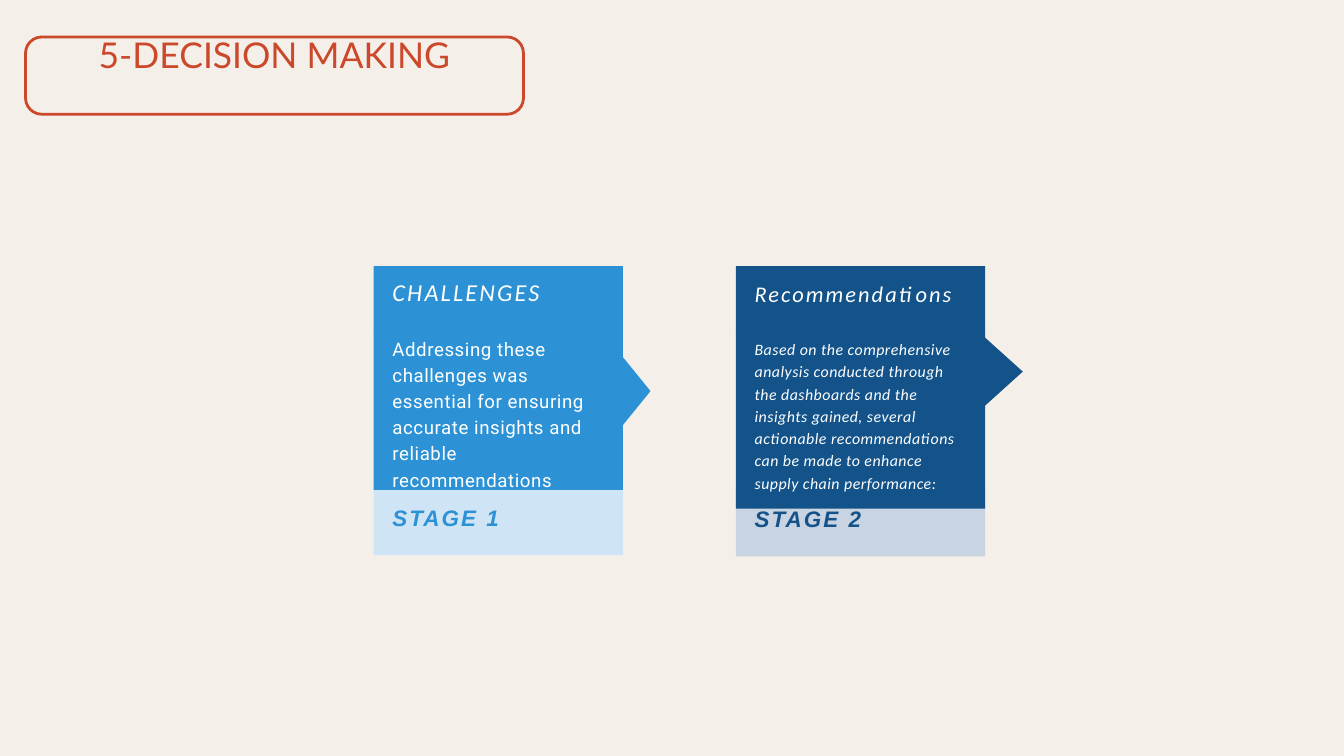
from pptx import Presentation
from pptx import util as u
from pptx.dml.color import RGBColor
from pptx.enum import shapes, text

THEME = {
    "background": "F4F0E9", "accent": "CC482B", "white": "FFFFFF",
    "blue": "2C92D5", "pale_blue": "CFE4F5",
    "navy": "13538A", "pale_navy": "C8D4E2",
    "title": {"name": "Lato", "size": u.Pt(38)},
    "stage": {"name": "Arial", "size": u.Pt(24), "bold": True, "italic": True},
}
LEADING = 1.4
CARD_WIDTH = 3.71
HEADER_TOP, HEADER_HEIGHT = 3.96, 0.94
BODY_TOP = 4.89
STAGE_HEIGHT, STAGE_TEXT_HEIGHT = 0.99, 1.19
ARROW_SPAN = 1.01
INSET = 0.28

TITLE = "5-DECISION MAKING"
CARDS = [
    {
        "left": 5.56, "fill": "blue", "pale": "pale_blue",
        "heading": "CHALLENGES", "heading_top": 3.72, "heading_spacing": 2.3,
        "heading_font": {"name": "Calibri", "size": u.Pt(26), "italic": True},
        "body": "Addressing these challenges was essential for ensuring accurate "
                "insights and reliable recommendations",
        "body_text_top": 4.69, "body_bottom": 7.29, "body_spacing": 0.6,
        "body_font": {"name": "Roboto", "size": u.Pt(20)},
        "stage": "STAGE 1", "stage_top": 7.27,
        "arrow_depth": 0.41, "arrow_middle": 5.82,
    },
    {
        "left": 10.95, "fill": "navy", "pale": "pale_navy",
        "heading": "Recommendations", "heading_top": 3.76, "heading_spacing": 2.2,
        "heading_font": {"name": "Calibri", "size": u.Pt(24), "italic": True},
        "body": "Based on the comprehensive analysis conducted through the dashboards "
                "and the insights gained, several actionable recommendations can be "
                "made to enhance supply chain performance:",
        "body_text_top": 4.73, "body_bottom": 7.57, "body_spacing": 0.5,
        "body_font": {"name": "Calibri", "size": u.Pt(17), "italic": True},
        "stage": "STAGE 2", "stage_top": 7.29,
        "arrow_depth": 0.56, "arrow_middle": 5.53,
    },
]


def color(name):
    return RGBColor.from_string(THEME[name])


def inches(*lengths):
    return [u.Inches(length) for length in lengths]


def add_block(slide, kind, box, fill):
    shape = slide.shapes.add_shape(kind, *inches(*box))
    shape.shadow.inherit = False
    shape.fill.solid()
    shape.fill.fore_color.rgb = color(fill)
    shape.line.fill.background()
    return shape


def write(shape, words, font, ink, inset, anchor, spacing=0, align=text.PP_ALIGN.LEFT):
    frame = shape.text_frame
    frame_format = {"word_wrap": True, "vertical_anchor": anchor,
                    "auto_size": text.MSO_AUTO_SIZE.NONE}
    for side in ("left", "top", "right", "bottom"):
        frame_format[f"margin_{side}"] = u.Inches(inset)
    for name, value in frame_format.items():
        setattr(frame, name, value)
    paragraph = frame.paragraphs[0]
    paragraph.alignment = align
    paragraph.line_spacing = u.Pt(round(font["size"].pt * LEADING, 1))
    run = paragraph.add_run()
    run.text = words
    for name, value in font.items():
        setattr(run.font, name, value)
    run.font.color.rgb = color(ink)
    if spacing:
        run._r.get_or_add_rPr().set("spc", str(round(spacing * 100)))


def add_label(slide, box, words, font, ink, spacing, anchor=text.MSO_ANCHOR.MIDDLE):
    label = slide.shapes.add_textbox(*inches(*box))
    write(label, words, font, ink, INSET, anchor, spacing)


def add_card(slide, card):
    left, fill = card["left"], card["fill"]
    rectangle = shapes.MSO_SHAPE.RECTANGLE
    header_bottom = HEADER_TOP + HEADER_HEIGHT
    stage_bottom = card["stage_top"] + STAGE_HEIGHT

    add_block(slide, rectangle, (left, HEADER_TOP, CARD_WIDTH, HEADER_HEIGHT), fill)
    add_label(slide, (left, card["heading_top"], CARD_WIDTH, header_bottom - card["heading_top"]),
              card["heading"], card["heading_font"], "white", card["heading_spacing"])

    add_block(slide, rectangle, (left, card["stage_top"], CARD_WIDTH, STAGE_HEIGHT), card["pale"])
    add_block(slide, rectangle,
              (left, BODY_TOP, CARD_WIDTH, card["body_bottom"] - BODY_TOP), fill)
    add_label(slide, (left, stage_bottom - STAGE_TEXT_HEIGHT, CARD_WIDTH, STAGE_TEXT_HEIGHT),
              card["stage"], THEME["stage"], fill, 2.2)
    add_label(slide, (left, card["body_text_top"], CARD_WIDTH,
                      card["body_bottom"] - card["body_text_top"]),
              card["body"], card["body_font"], "white", card["body_spacing"],
              text.MSO_ANCHOR.TOP)

    depth = card["arrow_depth"]
    center = left + CARD_WIDTH + depth / 2
    arrow = add_block(slide, shapes.MSO_SHAPE.ISOSCELES_TRIANGLE,
                      (center - ARROW_SPAN / 2, card["arrow_middle"] - depth / 2,
                       ARROW_SPAN, depth), fill)
    arrow.rotation = 90


def add_title(slide):
    frame = slide.shapes.add_shape(shapes.MSO_SHAPE.ROUNDED_RECTANGLE,
                                   *inches(0.38, 0.55, 7.41, 1.15))
    frame.shadow.inherit = False
    frame.adjustments[0] = 0.21
    frame.fill.background()
    frame.line.color.rgb = color("accent")
    frame.line.width = u.Pt(3)

    title = slide.shapes.title
    title.left, title.top, title.width, title.height = inches(0.38, -0.2, 7.41, 1.9)
    write(title, TITLE, THEME["title"], "accent", 0.06, text.MSO_ANCHOR.MIDDLE,
          align=text.PP_ALIGN.CENTER)


def main():
    presentation = Presentation()
    presentation.slide_width, presentation.slide_height = inches(20, 11.25)
    slide = presentation.slides.add_slide(presentation.slide_layouts[5])
    slide.background.fill.solid()
    slide.background.fill.fore_color.rgb = color("background")
    for card in CARDS:
        add_card(slide, card)
    add_title(slide)
    presentation.save("out.pptx")


if __name__ == "__main__":
    main()
